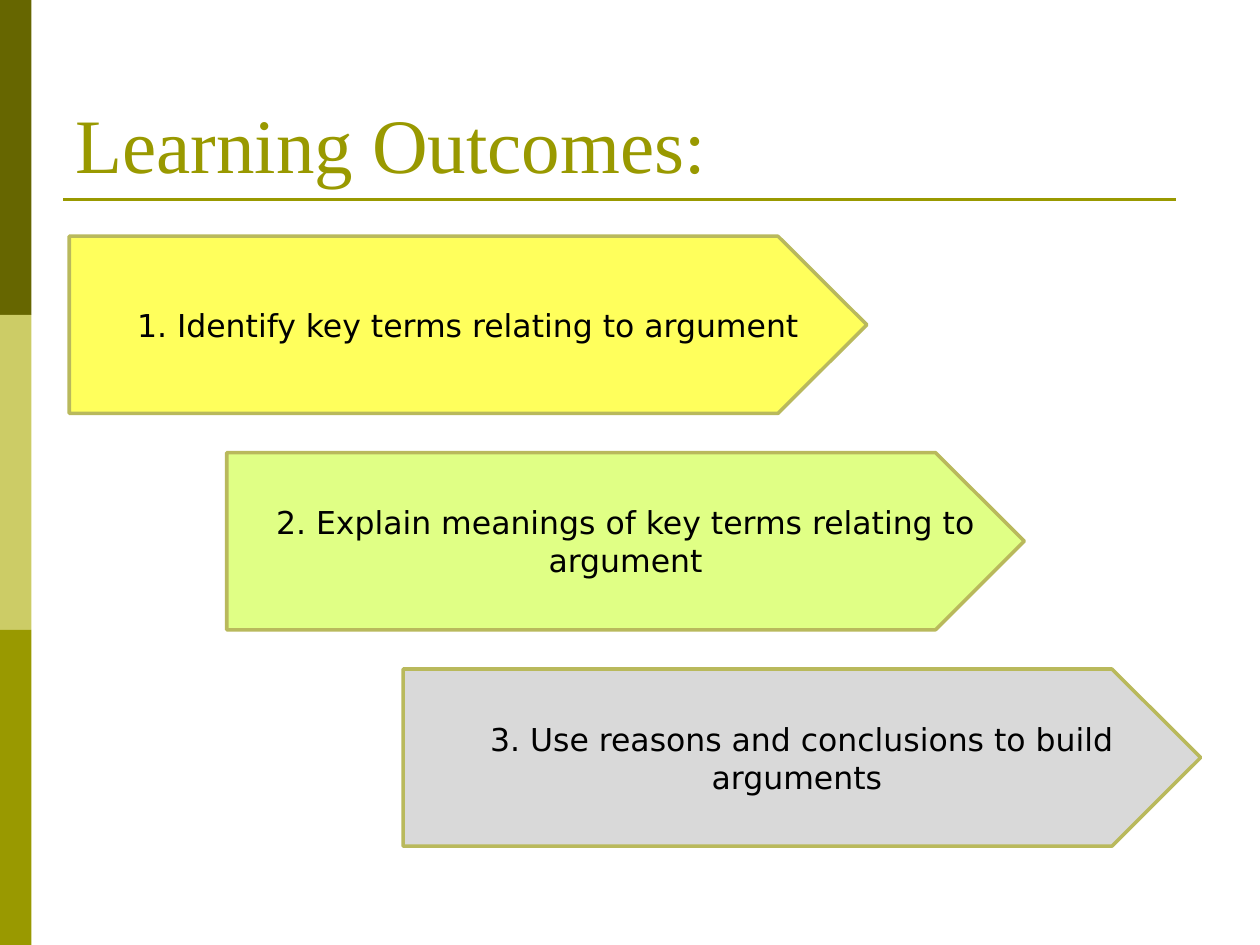
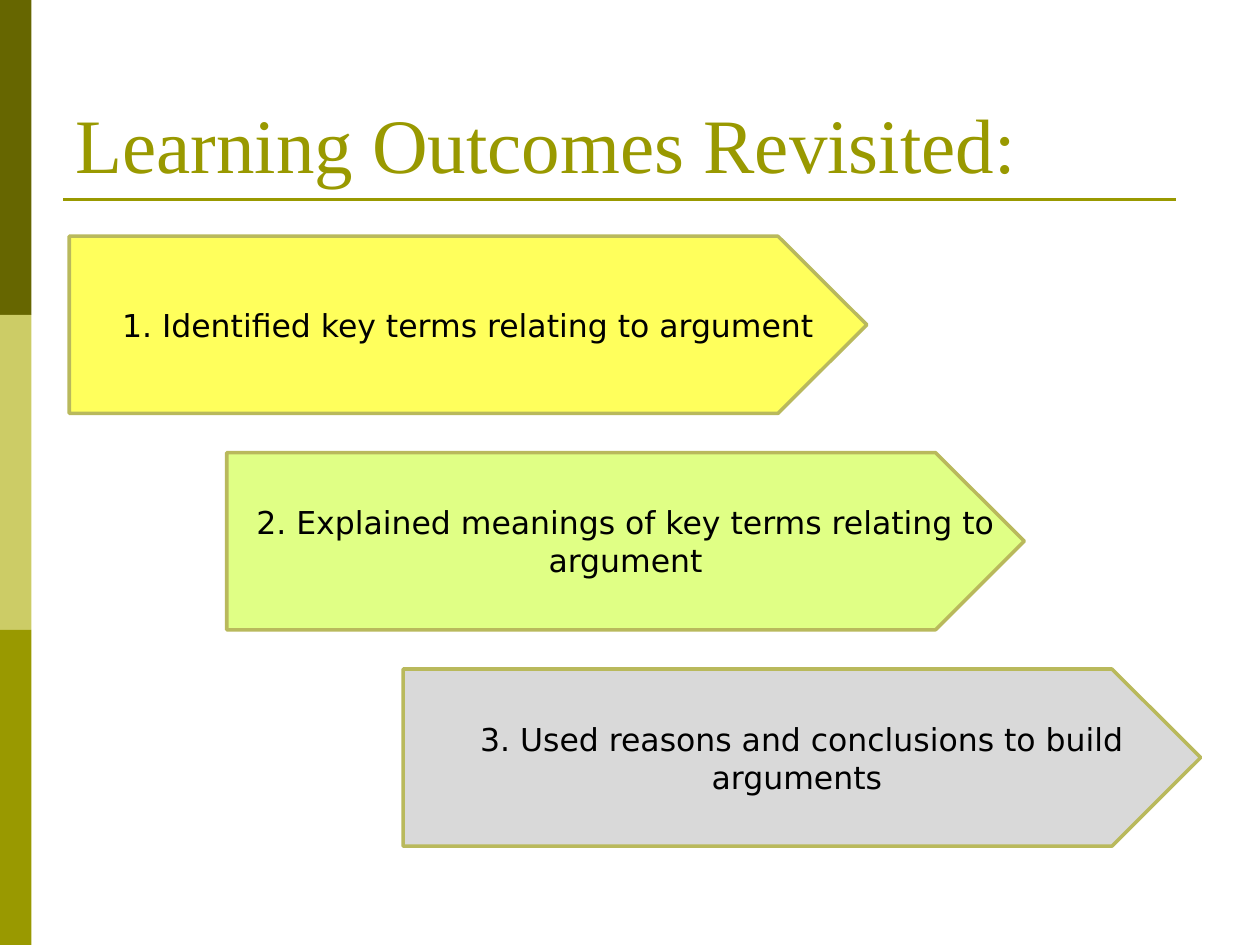
from typing import NamedTuple

from lxml.etree import SubElement
from pptx import Presentation
from pptx.dml.color import RGBColor
from pptx.enum.shapes import MSO_CONNECTOR, MSO_SHAPE
from pptx.enum.text import MSO_ANCHOR, PP_ALIGN
from pptx.oxml.ns import qn
from pptx.util import Inches, Pt

# Positions are percentages of the slide: x of its width, y of its height
SLIDE_WIDTH, SLIDE_HEIGHT = 10, 7.5
TITLE_FONT, BODY_FONT = "Times New Roman", "DejaVu Sans"
OLIVE, BLACK, ARROW_EDGE = "999900", "000000", "B9B95C"
BAND_COLOURS = ["666600", "CCCC66", OLIVE]
BAND_WIDTH = 2.5

ARROW_TOP, ARROW_PITCH = 25, 22.9
ARROW_WIDTH, ARROW_HEIGHT, ARROW_TIP = 63.3, 18.75, 7.05


class Step(NamedTuple):
    left: float
    fill: str


class Outcomes(NamedTuple):
    title: str
    texts: list[str]


STEPS = [Step(5.5, "FFFF5C"), Step(18, "E0FF85"), Step(32, "D9D9D9")]

PAGES = [
    Outcomes("Learning Outcomes:", [
        "1. Identify key terms relating to argument",
        "2. Explain meanings of key terms relating to argument",
        "3. Use reasons and conclusions to build arguments ",
    ]),
    Outcomes("Learning Outcomes Revisited:", [
        "1. Identified key terms relating to argument",
        "2. Explained meanings of key terms relating to argument",
        "3. Used reasons and conclusions to build arguments ",
    ]),
]


def across(share: float) -> int:
    return Inches(SLIDE_WIDTH * share / 100)


def down(share: float) -> int:
    return Inches(SLIDE_HEIGHT * share / 100)


def colour(value: str) -> RGBColor:
    return RGBColor.from_string(value)


def write(box, text: str, *, font: str, size: float, ink: str,
          align=PP_ALIGN.LEFT, anchor=MSO_ANCHOR.MIDDLE) -> None:
    frame = box.text_frame
    frame.word_wrap = True
    frame.vertical_anchor = anchor
    para = frame.paragraphs[0]
    para.alignment = align
    span = para.add_run()
    span.text = text
    span.font.name = font
    span.font.size = Pt(size)
    span.font.color.rgb = colour(ink)


def add_frame(page, title: str) -> None:
    # Side bands
    height = 100 / len(BAND_COLOURS)
    for row, fill in enumerate(BAND_COLOURS):
        band = page.shapes.add_shape(MSO_SHAPE.RECTANGLE, 0, down(row * height),
                                     across(BAND_WIDTH), down(height))
        band.shadow.inherit = False
        band.fill.solid()
        band.fill.fore_color.rgb = colour(fill)
        band.line.fill.background()

    # Rule under the title
    rule = page.shapes.add_connector(MSO_CONNECTOR.STRAIGHT, across(5), down(21.1),
                                     across(93.3), down(21.1))
    rule.line.color.rgb = colour(OLIVE)
    rule.line.width = Pt(1.5)
    SubElement(rule.element.spPr, qn("a:effectLst"))

    # Title
    box = page.shapes.add_textbox(across(5), down(4), across(90), down(16.67))
    write(box, title, font=TITLE_FONT, size=44, ink=OLIVE, anchor=MSO_ANCHOR.BOTTOM)


def add_arrow(page, step: Step, top: float, text: str) -> None:
    shoulder = step.left + ARROW_WIDTH - ARROW_TIP
    tip = step.left + ARROW_WIDTH
    bottom = top + ARROW_HEIGHT
    outline = page.shapes.build_freeform(across(step.left), down(top))
    corners = [(shoulder, top), (tip, top + ARROW_HEIGHT / 2),
               (shoulder, bottom), (step.left, bottom)]
    outline.add_line_segments([(across(x), down(y)) for x, y in corners], close=True)
    arrow = outline.convert_to_shape()
    arrow.shadow.inherit = False
    arrow.fill.solid()
    arrow.fill.fore_color.rgb = colour(step.fill)
    arrow.line.color.rgb = colour(ARROW_EDGE)
    arrow.line.width = Pt(2)
    write(arrow, text, font=BODY_FONT, size=18, ink=BLACK, align=PP_ALIGN.CENTER)


def main() -> None:
    deck = Presentation()
    deck.slide_width = Inches(SLIDE_WIDTH)
    deck.slide_height = Inches(SLIDE_HEIGHT)
    for outcomes in PAGES:
        page = deck.slides.add_slide(deck.slide_layouts[6])
        add_frame(page, outcomes.title)
        for row, (step, text) in enumerate(zip(STEPS, outcomes.texts)):
            add_arrow(page, step, ARROW_TOP + row * ARROW_PITCH, text)
    deck.save("out.pptx")


if __name__ == "__main__":
    main()
